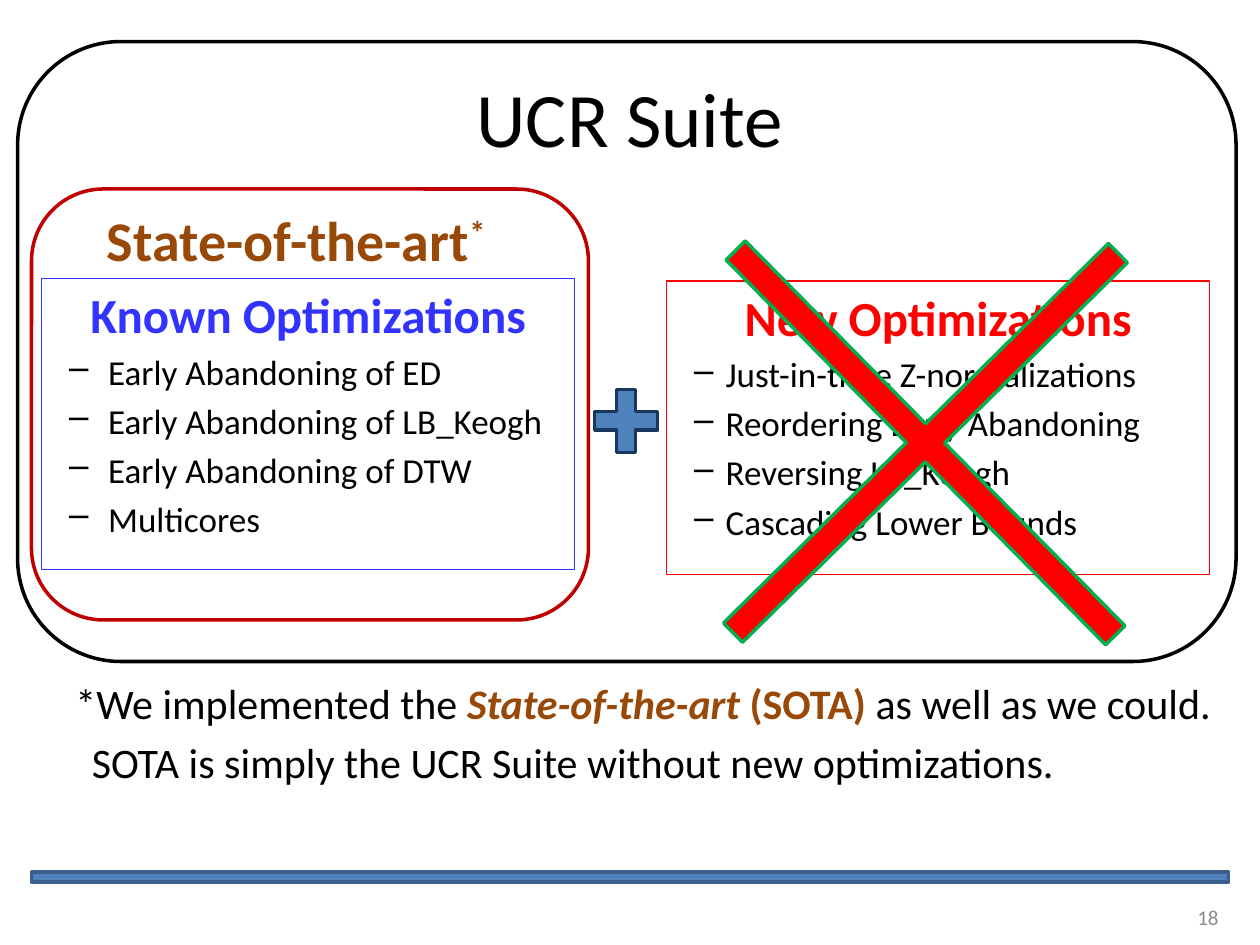
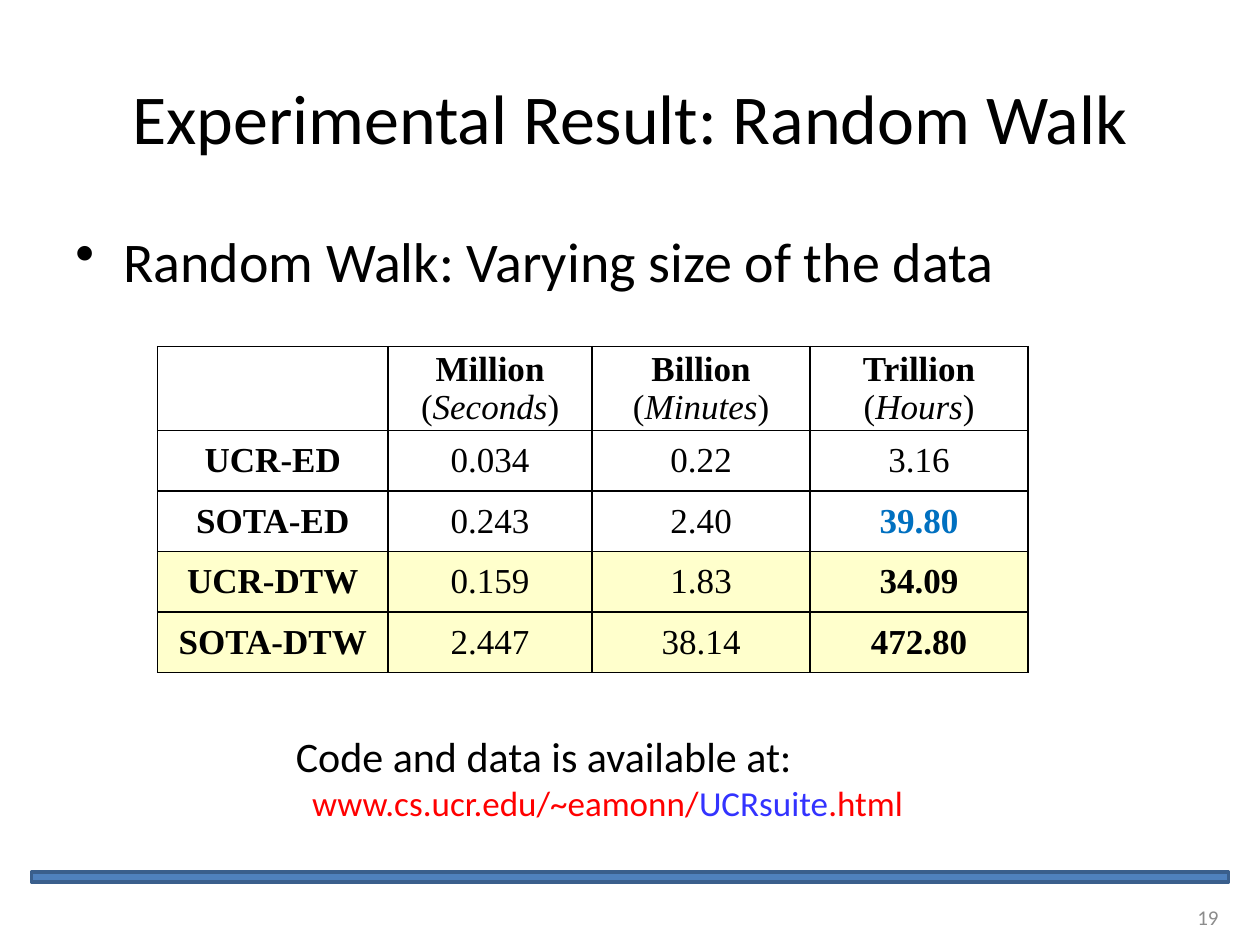
from dataclasses import dataclass, replace
from typing import Optional

from lxml.etree import SubElement
from pptx import Presentation
from pptx.dml.color import RGBColor
from pptx.enum.shapes import MSO_SHAPE as Preset
from pptx.enum.text import MSO_ANCHOR as Anchor, PP_ALIGN as Align
from pptx.oxml.ns import qn
from pptx.util import Emu, Pt

EMU_PER_PX = 9144
BLACK = RGBColor(0x00, 0x00, 0x00)
GREY = RGBColor(0x8C, 0x8C, 0x8C)
BLUE = RGBColor(0x4F, 0x81, 0xBD)
BAND_EDGE = RGBColor(0x3A, 0x5F, 0x8C)
NAVY = RGBColor(0x17, 0x37, 0x5E)
VIOLET = RGBColor(0x33, 0x33, 0xFF)
SKY = RGBColor(0x00, 0x70, 0xC0)
RED = RGBColor(0xFF, 0x00, 0x00)
DARK_RED = RGBColor(0xC0, 0x00, 0x00)
BROWN = RGBColor(0x98, 0x48, 0x07)
GREEN = RGBColor(0x00, 0xB0, 0x50)
CREAM = RGBColor(0xFF, 0xFF, 0xCC)
BODY_FONT = "Calibri"
TABLE_FONT = "Times New Roman"


@dataclass(frozen=True)
class Box:
    left: int
    top: int
    width: int
    height: int

    def emu(self) -> tuple:
        return tuple(px(n) for n in (self.left, self.top, self.width, self.height))


@dataclass(frozen=True)
class Span:
    text: str
    color: Optional[RGBColor] = None
    bold: Optional[bool] = None
    italic: Optional[bool] = None
    raised: bool = False


@dataclass(frozen=True)
class Para:
    spans: tuple
    size: int
    color: RGBColor = BLACK
    bold: bool = False
    font: str = BODY_FONT
    align: Align = Align.LEFT
    margin: int = 0
    indent: int = 0
    bullet: str = ""
    before: float = 0
    after: float = 0


@dataclass(frozen=True)
class Outline:
    preset: Preset
    box: Box
    edge: RGBColor
    fill: Optional[RGBColor] = None
    adjust: Optional[float] = None
    rotation: float = 0


@dataclass(frozen=True)
class Panel:
    box: Box
    heading: str
    color: RGBColor
    margin: int
    indent: int
    items: tuple


TITLE_BOX = Box(50, 30, 900, 125)
NUMBER_BOX = Box(744, 708, 233, 40)
BAND = Outline(Preset.RECTANGLE, Box(25, 692, 950, 8), BAND_EDGE, BLUE)

SUITE_FRAME = Outline(Preset.ROUNDED_RECTANGLE, Box(14, 33, 967, 492), BLACK)
SOTA_FRAME = Outline(Preset.ROUNDED_RECTANGLE, Box(25, 150, 442, 342), DARK_RED)
PLUS_SIGN = Outline(Preset.CROSS, Box(472, 309, 50, 50), NAVY, BLUE, 0.35)
CROSS_OUT = Outline(Preset.CROSS, Box(520, 137, 429, 429), GREEN, RED, 0.475, 45.4)

NEW_PANEL = Panel(
    Box(529, 223, 431, 233), "New Optimizations", RED, 37, -25,
    ("Just-in-time Z-normalizations", "Reordering Early Abandoning",
     "Reversing LB_Keogh", "Cascading Lower Bounds"),
)
KNOWN_PANEL = Panel(
    Box(33, 221, 423, 231), "Known Optimizations", VIOLET, 43, -31,
    ("Early Abandoning of ED", "Early Abandoning of LB_Keogh",
     "Early Abandoning of DTW", "Multicores"),
)

TABLE_BOX = Box(125, 275, 691, 254)
COLUMN_WIDTHS = (183, 162, 173, 173)
ROW_HEIGHTS = (62, 48, 48, 48, 48)
SCALES = (("Million", "Seconds"), ("Billion", "Minutes"), ("Trillion", "Hours"))
TIMINGS = (
    ("UCR-ED", "0.034", "0.22", "3.16"),
    ("SOTA-ED", "0.243", "2.40", "39.80"),
    ("UCR-DTW", "0.159", "1.83", "34.09"),
    ("SOTA-DTW", "2.447", "38.14", "472.80"),
)
HIGHLIGHTS = {"39.80": SKY, "34.09": BLACK, "472.80": BLACK}


def px(count: int) -> Emu:
    return Emu(count * EMU_PER_PX)


def write_para(para, spec: Para) -> None:
    para.alignment = spec.align
    para.space_before, para.space_after = Pt(spec.before), Pt(spec.after)
    font = para.font
    font.name, font.size, font.bold = spec.font, Pt(spec.size), spec.bold
    font.color.rgb = spec.color
    properties = para._p.get_or_add_pPr()
    properties.set("marL", str(px(spec.margin)))
    properties.set("indent", str(px(spec.indent)))
    if spec.bullet:
        mark = properties.makeelement(qn("a:buChar"), {"char": spec.bullet})
        properties.find(qn("a:defRPr")).addprevious(mark)
    for part in spec.spans:
        span = para.add_run()
        span.text = part.text
        span.font.bold, span.font.italic = part.bold, part.italic
        if part.color is not None:
            span.font.color.rgb = part.color
        if part.raised:
            span._r.get_or_add_rPr().set("baseline", "30000")


def write_text(frame, *specs: Para, anchor: Anchor = Anchor.TOP) -> None:
    frame.word_wrap = True
    frame.vertical_anchor = anchor
    for index, spec in enumerate(specs):
        write_para(frame.add_paragraph() if index else frame.paragraphs[0], spec)


def add_text(page, box: Box, *specs: Para, anchor: Anchor = Anchor.TOP):
    shape = page.shapes.add_textbox(*box.emu())
    write_text(shape.text_frame, *specs, anchor=anchor)
    return shape


def add_outline(page, outline: Outline) -> None:
    shape = page.shapes.add_shape(outline.preset, *outline.box.emu())
    shape.shadow.inherit = False
    shape.rotation = outline.rotation
    if outline.adjust is not None:
        shape.adjustments[0] = outline.adjust
    if outline.fill is None:
        shape.fill.background()
    else:
        shape.fill.solid()
        shape.fill.fore_color.rgb = outline.fill
    shape.line.color.rgb = outline.edge
    shape.line.width = Pt(2)


def add_panel(page, panel: Panel) -> None:
    heading = Para((Span(panel.heading),), 28, panel.color, True,
                   align=Align.CENTER, before=5.6)
    items = [
        Para((Span(item),), 20, margin=panel.margin, indent=panel.indent,
             bullet="–", before=4)
        for item in panel.items
    ]
    shape = add_text(page, panel.box, heading, *items)
    shape.line.color.rgb = panel.color
    shape.line.width = Pt(0.75)


def add_page(deck, title: str, title_size: int, number: int):
    page = deck.slides.add_slide(deck.slide_layouts[5])
    holder = page.shapes.title
    holder.left, holder.top, holder.width, holder.height = TITLE_BOX.emu()
    write_text(holder.text_frame,
               Para((Span(title),), title_size, align=Align.CENTER),
               anchor=Anchor.MIDDLE)
    add_outline(page, BAND)
    add_text(page, NUMBER_BOX,
             Para((Span(str(number)),), 12, GREY, align=Align.RIGHT),
             anchor=Anchor.MIDDLE)
    return page


def border_cell(cell) -> None:
    properties = cell._tc.get_or_add_tcPr()
    for side in ("lnL", "lnR", "lnT", "lnB"):
        line = SubElement(properties, qn(f"a:{side}"), w=str(Pt(1)))
        fill = SubElement(line, qn("a:solidFill"))
        SubElement(fill, qn("a:srgbClr"), val=str(BLACK))


def add_timings(page) -> None:
    rows, columns = len(ROW_HEIGHTS), len(COLUMN_WIDTHS)
    table = page.shapes.add_table(rows, columns, *TABLE_BOX.emu()).table
    table.first_row = table.horz_banding = False
    for column, width in zip(table.columns, COLUMN_WIDTHS):
        column.width = px(width)
    for row, height in zip(table.rows, ROW_HEIGHTS):
        row.height = px(height)
    base = Para((), 20, font=TABLE_FONT, align=Align.CENTER)
    header = [base] + [
        replace(base, after=1, spans=(Span(f"{scale} ", bold=True), Span("("),
                                      Span(unit, italic=True), Span(")")))
        for scale, unit in SCALES
    ]
    body = [
        [replace(base, spans=(Span(value),), color=HIGHLIGHTS.get(value, BLACK),
                 bold=value == label or value in HIGHLIGHTS)
         for value in (label, *values)]
        for label, *values in TIMINGS
    ]
    for row, specs in enumerate([header] + body):
        for column, spec in enumerate(specs):
            cell = table.cell(row, column)
            border_cell(cell)
            if row and TIMINGS[row - 1][0].endswith("DTW"):
                cell.fill.solid()
                cell.fill.fore_color.rgb = CREAM
            else:
                cell.fill.background()
            cell.vertical_anchor = Anchor.MIDDLE
            cell.margin_left = cell.margin_right = px(3 if (row, column) == (0, 1) else 7)
            cell.margin_top = cell.margin_bottom = 0
            write_para(cell.text_frame.paragraphs[0], spec)


def build_suite_page(deck) -> None:
    page = add_page(deck, "UCR Suite", 44, 18)
    add_panel(page, NEW_PANEL)
    add_panel(page, KNOWN_PANEL)
    add_outline(page, PLUS_SIGN)
    add_outline(page, SOTA_FRAME)
    add_text(page, Box(75, 158, 350, 64),
             Para((Span("State-of-the-art"), Span("*", raised=True)), 32, BROWN, True))
    add_outline(page, CROSS_OUT)
    add_text(
        page, Box(50, 533, 925, 108),
        Para((Span("*We implemented the "),
              Span("State-of-the-art", BROWN, True, True),
              Span(" (SOTA) ", BROWN, True),
              Span("as well as we could.")),
             24, margin=19, indent=-19, before=4.8),
        Para((Span("SOTA is simply the UCR Suite without new optimizations."),),
             24, margin=13, before=4.8),
    )
    add_outline(page, SUITE_FRAME)


def build_result_page(deck) -> None:
    page = add_page(deck, "Experimental Result: Random Walk", 40, 19)
    add_timings(page)
    add_text(page, Box(50, 175, 900, 67),
             Para((Span("Random Walk: Varying size of the data"),), 32,
                  margin=38, indent=-38, bullet="•", before=6.4))
    add_text(
        page, Box(225, 575, 507, 84),
        Para((Span("Code and data is available at:"),), 24),
        Para((Span("www.cs.ucr.edu/~eamonn/"), Span("UCRsuite", VIOLET),
              Span(".html")), 20, RED, margin=13),
    )


def main() -> None:
    deck = Presentation()
    deck.slide_width, deck.slide_height = px(1000), px(750)
    build_suite_page(deck)
    build_result_page(deck)
    deck.save("out.pptx")


if __name__ == "__main__":
    main()
